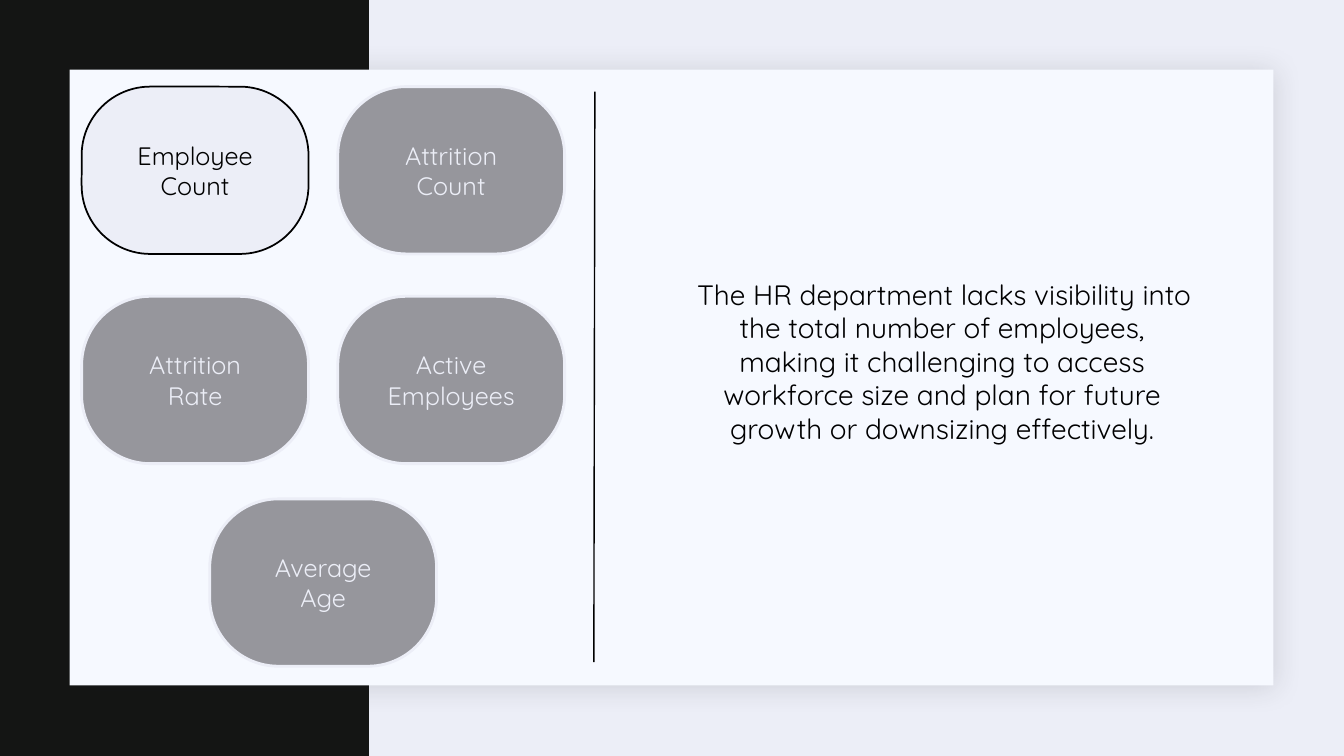
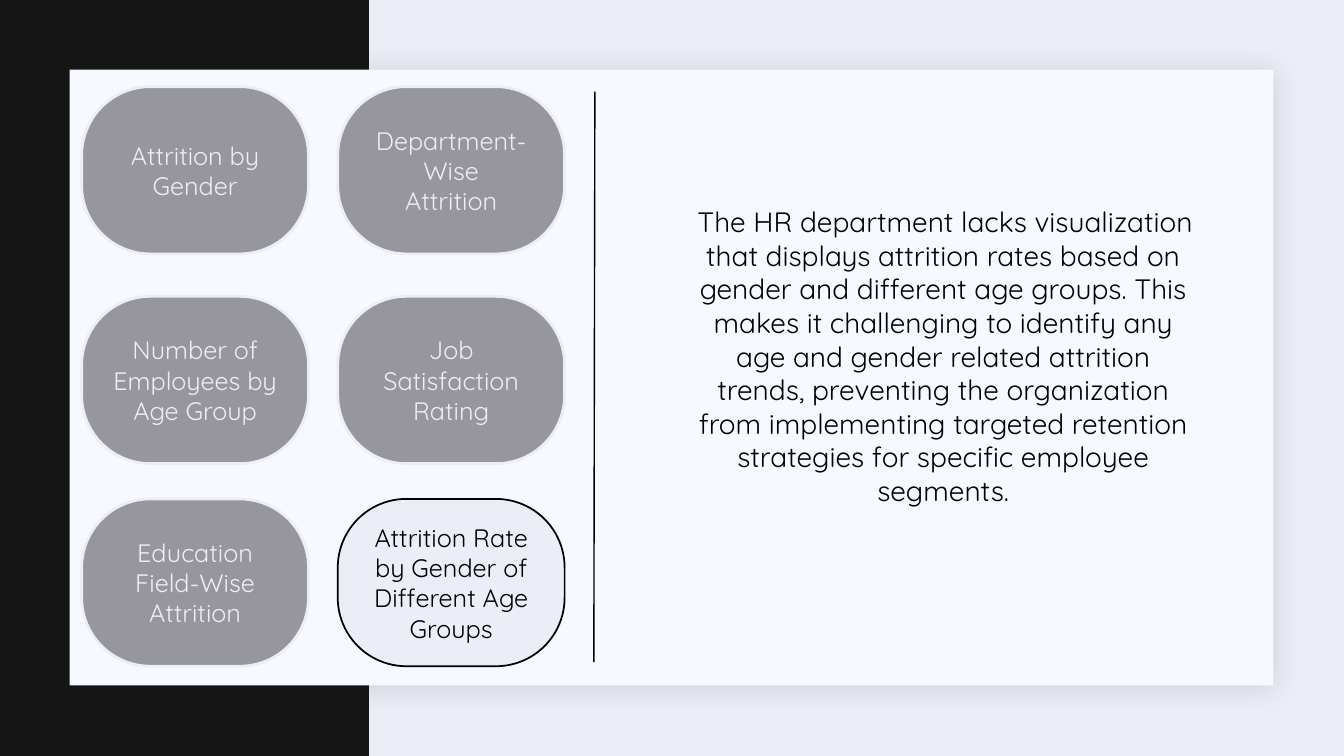
from collections import namedtuple

from lxml.etree import SubElement
from pptx import Presentation
from pptx.dml.color import RGBColor
from pptx.enum.shapes import MSO_CONNECTOR, MSO_SHAPE
from pptx.enum.text import MSO_ANCHOR, PP_ALIGN
from pptx.oxml.ns import qn
from pptx.util import Inches, Pt

Box = namedtuple("Box", "left top width height")

FONT = "Quicksand"
INK = RGBColor(0x00, 0x00, 0x00)
BAND = RGBColor(0x14, 0x15, 0x14)
MIST = RGBColor(0xEC, 0xEE, 0xF7)
PAPER = RGBColor(0xF6, 0xF9, 0xFF)
GREY = RGBColor(0x96, 0x96, 0x9C)
SHADOW = RGBColor(0x1F, 0x21, 0x25)

PANEL = Box(0.69, 0.69, 11.94, 6.11)
PILL_WIDTH, PILL_HEIGHT = 2.25, 1.66
PILL_COLUMNS = (0.12, 2.66)
PILL_ROWS = (0.17, 2.25, 4.26)

TOPICS = [
    {
        "rows": [
            ["Employee\nCount", "Attrition\nCount"],
            ["Attrition\nRate", "Active Employees"],
            ["Average\nAge"],
        ],
        "selected": "Employee\nCount",
        "message": "The HR department lacks visibility into the total number of "
                   "employees, making it challenging to access workforce size and "
                   "plan for future growth or downsizing effectively.",
        "message_box": Box(6.07, 2.01, 5.07, 2.18),
    },
    {
        "rows": [
            ["Attrition by\nGender", "Department-Wise\nAttrition"],
            ["Number of Employees by Age Group", "Job Satisfaction Rating"],
            ["Education Field-Wise Attrition",
             "Attrition Rate by Gender of Different Age Groups"],
        ],
        "selected": "Attrition Rate by Gender of Different Age Groups",
        "message": "The HR department lacks visualization that displays attrition "
                   "rates based on gender and different age groups. This makes it "
                   "challenging to identify any age and gender related attrition "
                   "trends, preventing the organization from implementing targeted "
                   "retention strategies for specific employee segments.",
        "message_box": Box(6.08, 1.29, 5.07, 3.59),
    },
]


def inches(box):
    return [Inches(value) for value in box]


def within(parent, box):
    return box._replace(left=parent.left + box.left, top=parent.top + box.top)


def write_text(frame, text, size, color, anchor=MSO_ANCHOR.TOP,
               before=0, after=0, blank_bullet=False):
    frame.word_wrap = True
    frame.vertical_anchor = anchor
    for index, line in enumerate(text.split("\n")):
        para = frame.add_paragraph() if index else frame.paragraphs[0]
        para.alignment = PP_ALIGN.CENTER
        para.space_before, para.space_after = Pt(before), Pt(after)
        span = para.add_run()
        span.text = line
        span.font.name = FONT
        span.font.size = Pt(size)
        span.font.color.rgb = color
        if blank_bullet:
            add_blank_bullet(para)


def add_blank_bullet(para):
    settings = para._p.get_or_add_pPr()
    settings.set("marL", str(Inches(0.1)))
    settings.set("indent", str(Inches(-0.1)))
    bullet_color = SubElement(settings, qn("a:buClr"))
    SubElement(bullet_color, qn("a:srgbClr"), val=str(MIST))
    SubElement(settings, qn("a:buChar"), char=" ")


def add_filled(page, kind, box, fill, line=None, line_width=1):
    shape = page.shapes.add_shape(kind, *inches(box))
    shape.shadow.inherit = False
    shape.fill.solid()
    shape.fill.fore_color.rgb = fill
    if line is None:
        shape.line.fill.background()
    else:
        shape.line.color.rgb = line
        shape.line.width = Pt(line_width)
    return shape


def add_soft_shadow(shape):
    effects = shape._element.spPr.find(qn("a:effectLst"))
    outer = SubElement(effects, qn("a:outerShdw"), blurRad=str(Pt(20)),
                       dist=str(Pt(2)), dir=str(45 * 60000),
                       algn="tl", rotWithShape="0")
    color = SubElement(outer, qn("a:srgbClr"), val=str(SHADOW))
    SubElement(color, qn("a:alpha"), val="15000")


def add_backdrop(page, panel):
    add_filled(page, MSO_SHAPE.RECTANGLE, Box(0, 0, 3.66, 7.5), BAND)
    add_soft_shadow(add_filled(page, MSO_SHAPE.RECTANGLE, panel, PAPER))


def add_pill(page, box, label, selected):
    if selected:
        fill, line, width, color = MIST, INK, 1.25, INK
    else:
        fill, line, width, color = GREY, MIST, 2, MIST
    pill = add_filled(page, MSO_SHAPE.ROUNDED_RECTANGLE, box, fill, line, width)
    pill.adjustments[0] = 0.41
    write_text(pill.text_frame, label, 18, color, anchor=MSO_ANCHOR.MIDDLE)


def add_pill_grid(page, panel, rows, selected):
    for top, labels in zip(PILL_ROWS, rows):
        lefts = PILL_COLUMNS if len(labels) > 1 else [sum(PILL_COLUMNS) / 2]
        for left, label in zip(lefts, labels):
            box = within(panel, Box(left, top, PILL_WIDTH, PILL_HEIGHT))
            add_pill(page, box, label, label == selected)


def add_divider(page, panel):
    box = within(panel, Box(5.21, 0.22, -0.01, 5.66))
    divider = page.shapes.add_connector(
        MSO_CONNECTOR.STRAIGHT, Inches(box.left), Inches(box.top),
        Inches(box.left + box.width), Inches(box.top + box.height))
    divider.line.color.rgb = INK
    divider.line.width = Pt(1)
    SubElement(divider._element.spPr, qn("a:effectLst"))


def add_message(page, panel, box, text):
    frame = page.shapes.add_textbox(*inches(within(panel, box))).text_frame
    frame.margin_left = frame.margin_right = 0
    write_text(frame, text, 20, INK, before=12, after=2, blank_bullet=True)


def add_topic_slide(deck, topic):
    page = deck.slides.add_slide(deck.slide_layouts[6])
    add_backdrop(page, PANEL)
    add_pill_grid(page, PANEL, topic["rows"], topic["selected"])
    add_divider(page, PANEL)
    add_message(page, PANEL, topic["message_box"], topic["message"])


def main():
    deck = Presentation()
    deck.slide_width, deck.slide_height = Inches(13.33), Inches(7.5)
    backdrop = deck.slide_master.background.fill
    backdrop.solid()
    backdrop.fore_color.rgb = MIST
    for topic in TOPICS:
        add_topic_slide(deck, topic)
    deck.save("out.pptx")


if __name__ == "__main__":
    main()
